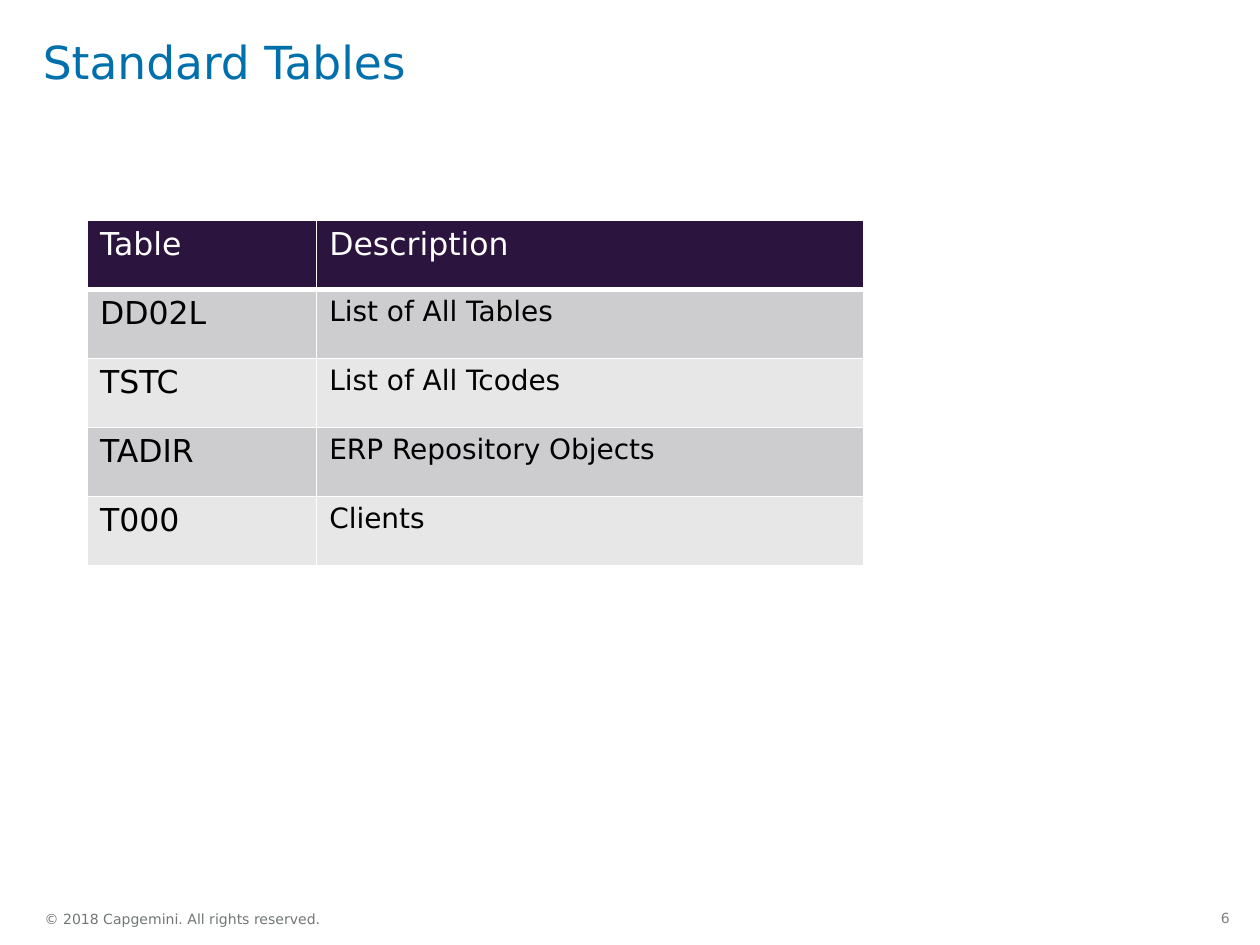
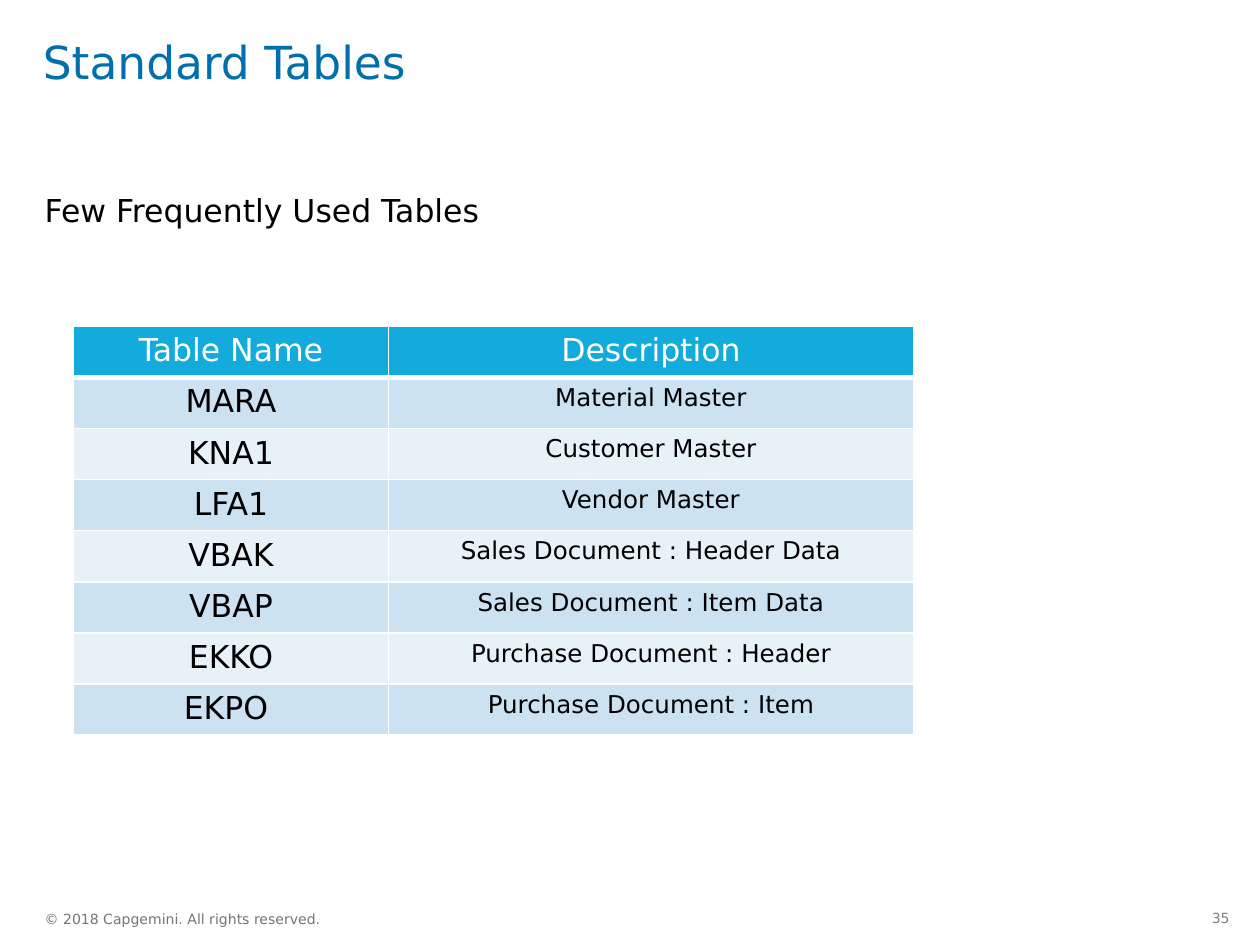
from lxml import etree
from pptx import Presentation
from pptx import util as u
from pptx.dml import color
from pptx.enum import text
from pptx.oxml import ns

FONT = "DejaVu Sans"
WHITE, BLACK = "FFFFFF", "000000"
TITLE_BLUE, FOOTER_GREY, NUMBER_GREY = "0070AD", "717676", "808080"
PURPLE_BANDS = ("2B143D", "CDCCCE", "E8E7E8")
BLUE_BANDS = ("12ABDB", "CCE2F1", "E7F1F8")
LEFT, CENTER, RIGHT = text.PP_ALIGN.LEFT, text.PP_ALIGN.CENTER, text.PP_ALIGN.RIGHT

DICTIONARY_TABLES = [
    ("Table", "Description"),
    ("DD02L", "List of All Tables"),
    ("TSTC", "List of All Tcodes"),
    ("TADIR", "ERP Repository Objects"),
    ("T000", "Clients"),
]
BUSINESS_TABLES = [
    ("Table Name", "Description"),
    ("MARA", "Material Master"),
    ("KNA1", "Customer Master"),
    ("LFA1", "Vendor Master"),
    ("VBAK", "Sales Document : Header Data"),
    ("VBAP", "Sales Document : Item Data"),
    ("EKKO", "Purchase Document : Header"),
    ("EKPO ", "Purchase Document : Item"),
]


def rgb(value):
    """Turn a hex string into a colour."""
    return color.RGBColor.from_string(value)


def write(frame, words, size, ink, align=LEFT):
    """Write one styled paragraph into a text frame and return it."""
    para = frame.paragraphs[0]
    para.text = words
    para.alignment = align
    para.font.name = FONT
    para.font.size = u.Pt(size)
    para.font.bold = False
    para.font.color.rgb = rgb(ink)
    return para


def add_text(slide, place, words, size, ink, align=LEFT, anchor=text.MSO_ANCHOR.TOP):
    """Add a text box without insets and return its paragraph."""
    box = slide.shapes.add_textbox(*(u.Pt(length) for length in place))
    frame = box.text_frame
    frame.word_wrap = True
    frame.vertical_anchor = anchor
    frame.margin_left = frame.margin_right = frame.margin_top = frame.margin_bottom = 0
    return write(frame, words, size, ink, align)


def add_borders(cell, bottom_width):
    """Draw white borders around a table cell."""
    properties = cell._tc.get_or_add_tcPr()
    for side, width in (("L", 1), ("R", 1), ("T", 1), ("B", bottom_width)):
        line = etree.SubElement(properties, ns.qn(f"a:ln{side}"), w=str(u.Pt(width)))
        fill = etree.SubElement(line, ns.qn("a:solidFill"))
        etree.SubElement(fill, ns.qn("a:srgbClr"), val=WHITE)


def add_banded_table(slide, left, top, widths, row_height, rows, bands, body_size, align=LEFT):
    """Add a table with a dark header and alternating row fills."""
    header_fill, *row_fills = bands
    table = slide.shapes.add_table(
        len(rows), len(widths), u.Pt(left), u.Pt(top),
        u.Pt(sum(widths)), u.Pt(row_height * len(rows))).table
    table.horz_banding = False
    for column, width in zip(table.columns, widths):
        column.width = u.Pt(width)
    for row_index, row in enumerate(rows):
        table.rows[row_index].height = u.Pt(row_height)
        is_header = row_index == 0
        for column_index, words in enumerate(row):
            cell = table.cell(row_index, column_index)
            add_borders(cell, 3 if is_header else 1)
            cell.fill.solid()
            cell.fill.fore_color.rgb = rgb(header_fill if is_header else row_fills[(row_index - 1) % 2])
            size = 18 if is_header or column_index == 0 else body_size
            write(cell.text_frame, words, size, WHITE if is_header else BLACK, align)


def add_page(deck, title, number):
    """Add a blank slide with its title, copyright line and page number."""
    slide = deck.slides.add_slide(deck.slide_layouts[6])
    add_text(slide, (682, 519.8, 20.7, 10), str(number), 8, NUMBER_GREY, RIGHT)
    add_text(slide, (25.5, 516.2, 200, 17.3), "© 2018 Capgemini. All rights reserved.",
             8, FOOTER_GREY, anchor=text.MSO_ANCHOR.MIDDLE)
    heading = add_text(slide, (24.5, 20.9, 670, 67.7), title, 26, TITLE_BLUE)
    heading.line_spacing = u.Pt(30)
    return slide


def main():
    """Build the deck."""
    deck = Presentation()
    deck.slide_width, deck.slide_height = u.Pt(720), u.Pt(540)

    page = add_page(deck, "Standard Tables", 6)
    add_banded_table(page, 50, 126, (131, 312.5), 39.45, DICTIONARY_TABLES, PURPLE_BANDS, 16)

    page = add_page(deck, "Standard Tables", 35)
    lead = add_text(page, (25.5, 111.6, 669, 385), "Few Frequently Used Tables", 18, BLACK)
    lead.line_spacing = 0.9
    add_banded_table(page, 42, 186.5, (180, 300), 29.2, BUSINESS_TABLES, BLUE_BANDS, 14, CENTER)

    deck.save("out.pptx")


if __name__ == "__main__":
    main()
